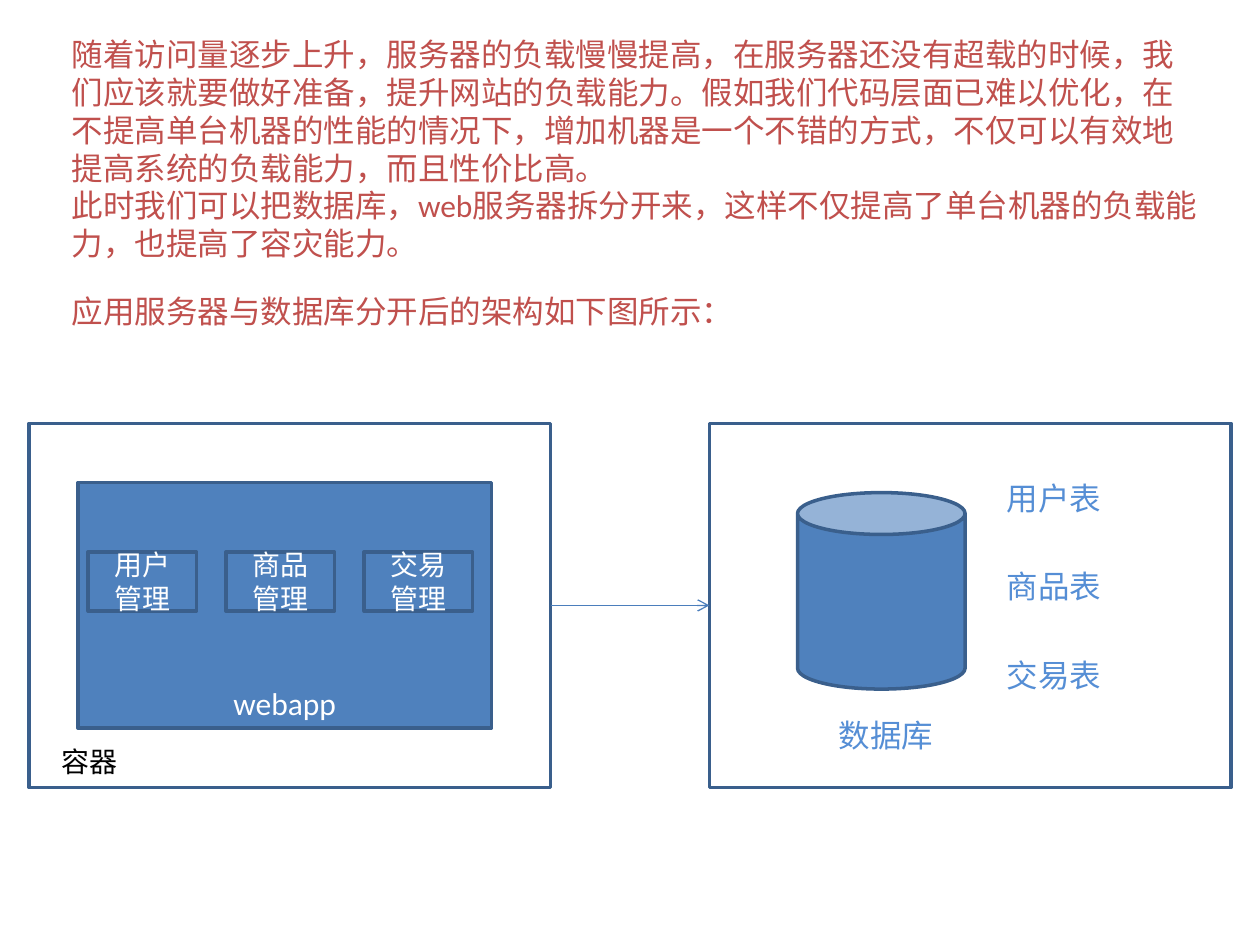
from dataclasses import dataclass

from lxml.etree import SubElement
from pptx import Presentation
from pptx.dml.color import RGBColor
from pptx.enum.shapes import MSO_CONNECTOR, MSO_SHAPE
from pptx.enum.text import MSO_ANCHOR, MSO_AUTO_SIZE, PP_ALIGN
from pptx.oxml.ns import qn
from pptx.shapes.autoshape import Shape
from pptx.slide import Slide
from pptx.text.text import TextFrame
from pptx.util import Inches, Pt

# The slide is a grid of 100 columns by 75 rows.
COLUMNS, ROWS = 100, 75
SLIDE_WIDTH, SLIDE_HEIGHT = Inches(10), Inches(7.5)

WHITE = RGBColor(0xFF, 0xFF, 0xFF)
BLACK = RGBColor(0x00, 0x00, 0x00)
RED = RGBColor(0xC0, 0x50, 0x4D)
BLUE = RGBColor(0x4F, 0x81, 0xBD)
OUTLINE_BLUE = RGBColor(0x3A, 0x5F, 0x8C)
ARROW_BLUE = RGBColor(0x4B, 0x7E, 0xBC)
LABEL_BLUE = RGBColor(0x55, 0x8E, 0xD5)
FONT = "Calibri"


@dataclass(frozen=True)
class Area:
    """A rectangle in grid columns and rows."""
    col: float
    row: float
    cols: float
    rows: float

    def box(self) -> tuple[int, int, int, int]:
        """Return left, top, width and height in slide units."""
        return (across(self.col), down(self.row),
                across(self.cols), down(self.rows))


@dataclass(frozen=True)
class Caption:
    """Free-standing text with its area, colour and size."""
    text: str
    area: Area
    color: RGBColor = LABEL_BLUE
    size: int = 18


@dataclass(frozen=True)
class Block:
    """An outlined shape, with text when it has any."""
    area: Area
    fill: RGBColor = BLUE
    kind: MSO_SHAPE = MSO_SHAPE.RECTANGLE
    text: str = ""
    size: int = 18
    anchor: MSO_ANCHOR = MSO_ANCHOR.MIDDLE


def across(columns: float) -> int:
    """Convert grid columns to a length."""
    return round(SLIDE_WIDTH * columns / COLUMNS)


def down(rows: float) -> int:
    """Convert grid rows to a length."""
    return round(SLIDE_HEIGHT * rows / ROWS)


def write(frame: TextFrame, text: str, size: int, color: RGBColor,
          align: PP_ALIGN) -> None:
    """Fill a text frame and format all its runs."""
    frame.word_wrap = True
    frame.text = text
    for paragraph in frame.paragraphs:
        paragraph.alignment = align
        for run in paragraph.runs:
            run.font.name = FONT
            run.font.size = Pt(size)
            run.font.color.rgb = color


def draw_caption(slide: Slide, caption: Caption) -> None:
    """Draw a left-aligned text box."""
    frame = slide.shapes.add_textbox(*caption.area.box()).text_frame
    write(frame, caption.text, caption.size, caption.color, PP_ALIGN.LEFT)
    frame.auto_size = MSO_AUTO_SIZE.SHAPE_TO_FIT_TEXT


def draw_block(slide: Slide, block: Block) -> Shape:
    """Draw an outlined shape with centred text."""
    shape = slide.shapes.add_shape(block.kind, *block.area.box())
    shape.shadow.inherit = False
    shape.fill.solid()
    shape.fill.fore_color.rgb = block.fill
    shape.line.color.rgb = OUTLINE_BLUE
    shape.line.width = Pt(2)
    if block.text:
        shape.text_frame.vertical_anchor = block.anchor
        write(shape.text_frame, block.text, block.size, WHITE, PP_ALIGN.CENTER)
    return shape


def draw_arrow(slide: Slide, source: Shape, target: Shape) -> None:
    """Link the right side of source to the left side of target."""
    arrow = slide.shapes.add_connector(MSO_CONNECTOR.STRAIGHT, 0, 0, 0, 0)
    arrow.begin_connect(source, 3)
    arrow.end_connect(target, 1)
    arrow.line.color.rgb = ARROW_BLUE
    arrow.line.width = Pt(0.75)
    SubElement(arrow.line._get_or_add_ln(), qn("a:tailEnd"), type="arrow")
    SubElement(arrow._element.spPr, qn("a:effectLst"))


INTRODUCTION = "\n".join((
    "随着访问量逐步上升，服务器的负载慢慢提高，在服务器还没有超载的时候，"
    "我们应该就要做好准备，提升网站的负载能力。假如我们代码层面已难以优化，"
    "在不提高单台机器的性能的情况下，增加机器是一个不错的方式，"
    "不仅可以有效地提高系统的负载能力，而且性价比高。",
    "此时我们可以把数据库，web服务器拆分开来，这样不仅提高了单台机器的负载能力，"
    "也提高了容灾能力。",
))
SUBJECTS = ("用户", "商品", "交易")
MODULE_STEP, TABLE_STEP = 10.95, 7.05

APP_SERVER = Block(Area(2.3, 33.6, 41.4, 28.9), WHITE)
DATABASE_SERVER = Block(Area(56.3, 33.6, 41.4, 28.9), WHITE)
WEBAPP = Block(Area(6.2, 38.3, 32.8, 19.5), text="webapp",
               anchor=MSO_ANCHOR.BOTTOM)
MODULES = [Block(Area(7 + i * MODULE_STEP, 43.8, 8.6, 4.7),
                 text=subject + "管理", size=16)
           for i, subject in enumerate(SUBJECTS)]
DATABASE = Block(Area(63.3, 39.1, 13.3, 15.6), kind=MSO_SHAPE.CAN)
CAPTIONS = [
    Caption(INTRODUCTION, Area(4.7, 2.3, 91.4, 19.2), RED),
    Caption("应用服务器与数据库分开后的架构如下图所示：",
            Area(4.7, 22.7, 89.1, 4), RED),
    Caption("容器", Area(3.9, 58.6, 7.8, 3.7), BLACK, 16),
    *(Caption(subject + "表", Area(78.9, 37.5 + i * TABLE_STEP, 12.5, 4))
      for i, subject in enumerate(SUBJECTS)),
    Caption("数据库", Area(65.6, 56.3, 12.5, 4)),
]


def main() -> None:
    """Build the slide and save it."""
    deck = Presentation()
    deck.slide_width, deck.slide_height = SLIDE_WIDTH, SLIDE_HEIGHT
    slide = deck.slides.add_slide(deck.slide_layouts[6])
    app_server, database_server = (
        draw_block(slide, server) for server in (APP_SERVER, DATABASE_SERVER))
    for block in (WEBAPP, *MODULES, DATABASE):
        draw_block(slide, block)
    draw_arrow(slide, app_server, database_server)
    for caption in CAPTIONS:
        draw_caption(slide, caption)
    deck.save("out.pptx")


main()
